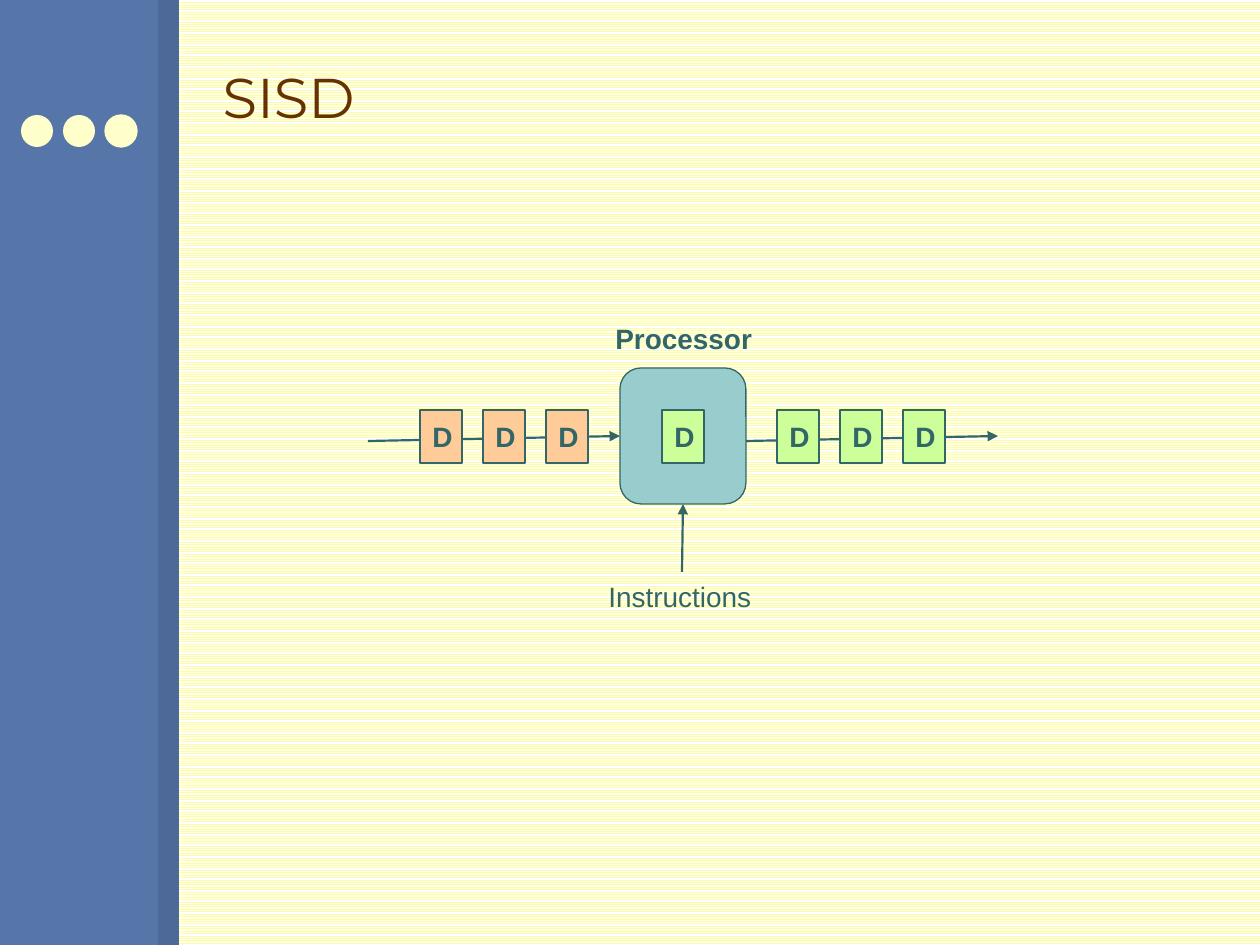
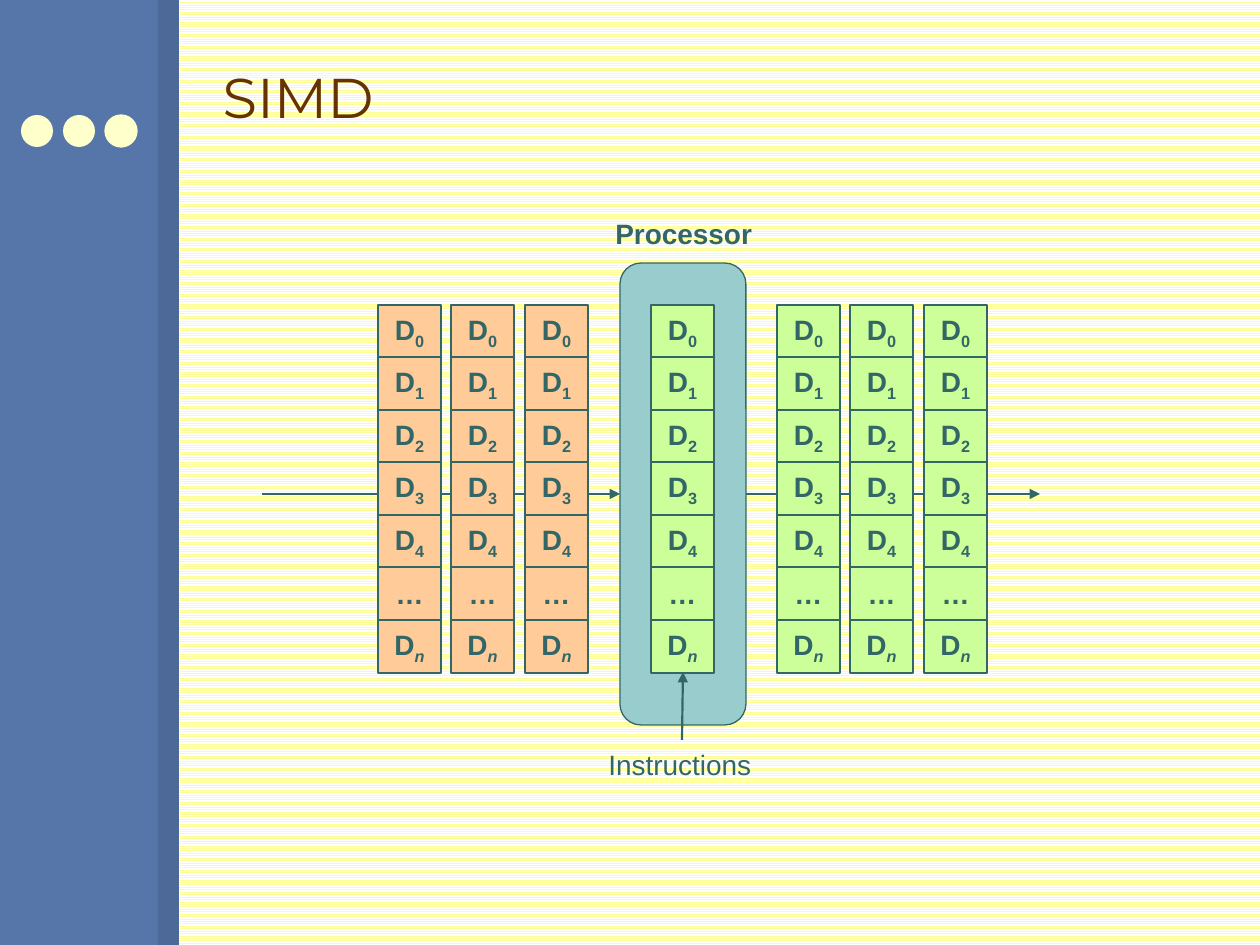
"""Build two slides on the SISD and SIMD processor models."""
from lxml import etree
from pptx import Presentation
from pptx.dml.color import RGBColor
from pptx.enum.dml import MSO_PATTERN
from pptx.enum.shapes import MSO_CONNECTOR, MSO_SHAPE
from pptx.enum.text import MSO_ANCHOR, MSO_AUTO_SIZE, PP_ALIGN
from pptx.oxml.ns import qn
from pptx.util import Emu, Pt

RECT, OVAL, ROUND = MSO_SHAPE.RECTANGLE, MSO_SHAPE.OVAL, MSO_SHAPE.ROUNDED_RECTANGLE
LEFT, CENTER, MIDDLE = PP_ALIGN.LEFT, PP_ALIGN.CENTER, MSO_ANCHOR.MIDDLE
NOFIT, GROW = MSO_AUTO_SIZE.NONE, MSO_AUTO_SIZE.SHAPE_TO_FIT_TEXT
LINES, STRAIGHT = MSO_PATTERN.LIGHT_HORIZONTAL, MSO_CONNECTOR.STRAIGHT
SCALE = 914400 / 126
HEX = {
    "stripe": "FFFF99", "paper": "FFFFFF", "band": "5675A9", "edge": "4D6997",
    "dot": "FFFFCC", "title": "663300", "ink": "336666", "core": "99CCCC",
    "input": "FFCC99", "output": "CCFF99",
}
COLOR = {name: RGBColor.from_string(code) for name, code in HEX.items()}


def write(shape, text, sub="", size=16, font="Arial", color="ink", bold=False,
          align=LEFT, anchor=None, wrap=True, fit=NOFIT):
    """Put text and an optional subscript into a shape."""
    frame = shape.text_frame
    frame.word_wrap, frame.auto_size = wrap, fit
    if anchor is not None:
        frame.vertical_anchor = anchor
    para = frame.paragraphs[0]
    para.alignment = align
    for part in filter(None, (text, sub)):
        run = para.add_run()
        run.text = part
        run.font.name, run.font.size, run.font.bold = font, Pt(size), bold
        run.font.color.rgb = COLOR[color]
    if sub:
        run.font.italic = sub.isalpha()
        run._r.get_or_add_rPr().set("baseline", "-25000")


def draw(slide, kind, rect, fill, line=None):
    """Add a flat preset shape placed in pixels."""
    shape = slide.shapes.add_shape(kind, *(Emu(round(n * SCALE)) for n in rect))
    shape.shadow.inherit = False
    shape.fill.solid()
    shape.fill.fore_color.rgb = COLOR[fill]
    if line:
        shape.line.color.rgb = COLOR[line]
        shape.line.width = Pt(0.75)
    else:
        shape.line.fill.background()
    return shape


deck = Presentation()
deck.slide_width, deck.slide_height = Emu(9144000), Emu(6858000)
layout = deck.slide_layouts[5]
back = layout.background.fill
back.patterned()
back.pattern = LINES
back.fore_color.rgb, back.back_color.rgb = COLOR["stripe"], COLOR["paper"]
for holder in list(layout.placeholders)[1:]:
    layout.shapes.element.remove(holder.element)

first = deck.slides.add_slide(layout)
decor = [
    draw(first, RECT, (0, 0, 158, 945), "band"),
    draw(first, RECT, (158, 0, 21, 945), "edge"),
]
for col in range(3):
    decor.append(draw(first, OVAL, (21 + 42 * col, 115, 32, 32), "dot",
                      "dot" if col == 2 else None))
for shape in decor:
    layout.shapes.element.append(shape.element)
second = deck.slides.add_slide(layout)

models = [
    {
        "slide": first, "title": "SISD", "core": (620, 368, 126, 136),
        "flows": [(746, 441, 998, 436), (368, 441, 620, 436)],
        "feed": (682, 572, 683, 504), "labels": (315, 573),
        "starts": (420, 662, 777), "top": 410, "width": 42, "pitch": 63,
        "cells": [("D", "")],
    },
    {
        "slide": second, "title": "SIMD", "core": (620, 263, 126, 462),
        "flows": [(746, 494, 1040, 494), (262, 494, 620, 494)],
        "feed": (682, 740, 683, 672), "labels": (210, 741),
        "starts": (378, 651, 777), "top": 305, "width": 63, "pitch": 73.5,
        "cells": [("D", n) for n in "01234"] + [("…", ""), ("D", "n")],
    },
]

for model in models:
    slide = model["slide"]
    title = slide.shapes.title
    title.left, title.top, title.width, title.height = (
        Emu(round(n * SCALE)) for n in (210, 26, 1008, 141))
    write(title, model["title"], size=32, font="Montserrat", color="title", anchor=MIDDLE)

    arrows = []
    for ends in model["flows"] + [model["feed"]]:
        arrow = slide.shapes.add_connector(STRAIGHT, *(Emu(round(n * SCALE)) for n in ends))
        arrow.line.color.rgb, arrow.line.width = COLOR["ink"], Pt(1.25)
        etree.SubElement(arrow.line._get_or_add_ln(), qn("a:tailEnd"), type="triangle")
        etree.SubElement(arrow.element.spPr, qn("a:effectLst"))
        arrows.append(arrow)

    core = draw(slide, ROUND, model["core"], "core", "ink")
    core.adjustments[0] = 0.167

    groups = zip(model["starts"], (3, 1, 3), ("input", "output", "output"))
    for start, count, fill in groups:
        for col in range(count):
            for row, (text, sub) in enumerate(model["cells"]):
                left = start + int(model["pitch"] * col)
                top = model["top"] + 105 * row // 2
                cell = draw(slide, RECT, (left, top, model["width"], 53), fill, "ink")
                write(cell, text, sub, bold=True, align=CENTER, anchor=MIDDLE)
    slide.shapes.element.append(arrows[-1].element)

    names = (("Processor", 603, 164, True), ("Instructions", 596, 170, False))
    for (text, left, width, bold), top in zip(names, model["labels"]):
        label = slide.shapes.add_textbox(
            *(Emu(round(n * SCALE)) for n in (left, top, width, 47)))
        write(label, text, bold=bold, wrap=False, fit=GROW)

deck.save("out.pptx")
